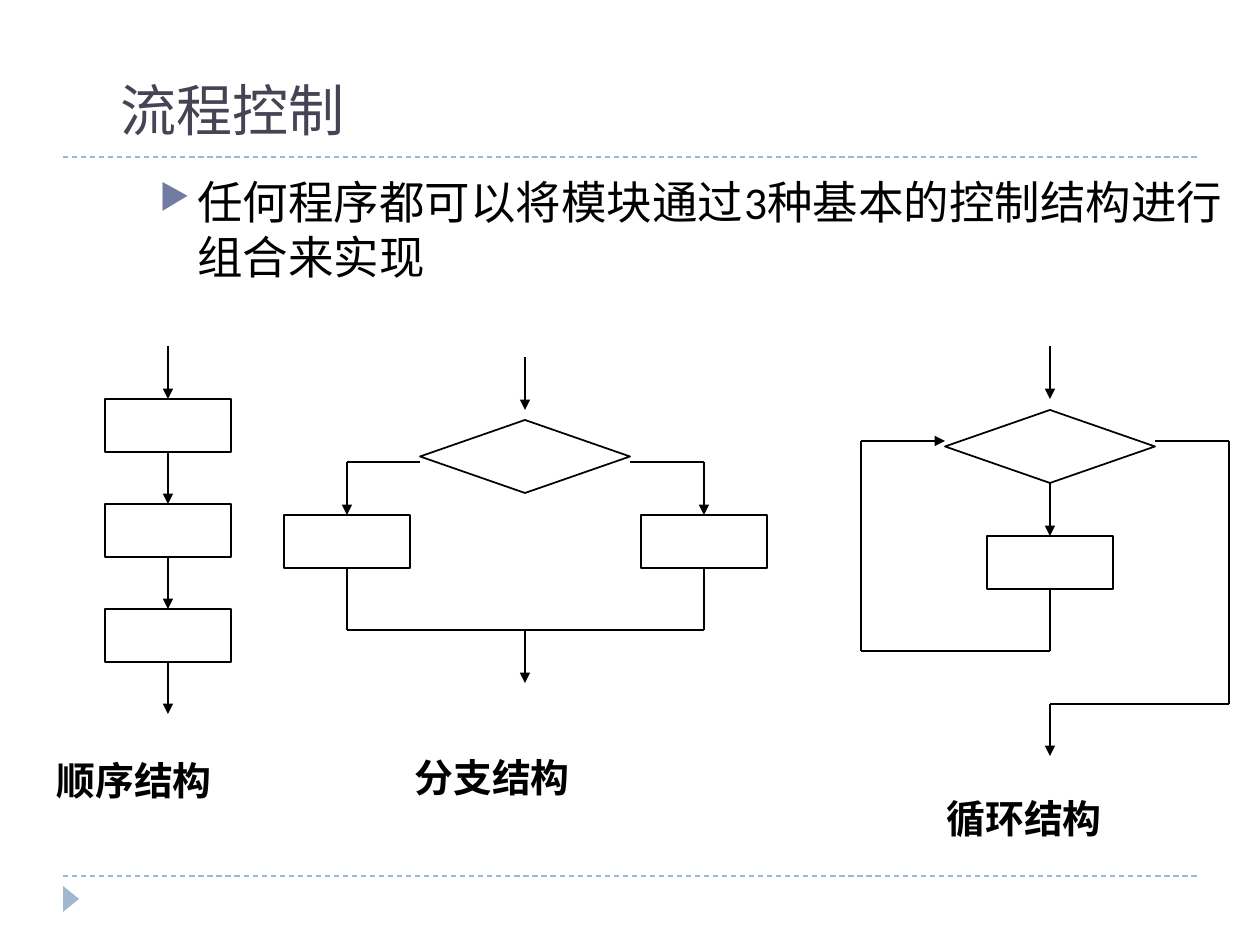
from itertools import pairwise

from lxml.etree import SubElement
from pptx import Presentation
from pptx.dml.color import RGBColor
from pptx.enum.dml import MSO_LINE
from pptx.enum.shapes import MSO_CONNECTOR, MSO_SHAPE
from pptx.enum.text import MSO_ANCHOR, MSO_AUTO_SIZE, PP_ALIGN
from pptx.oxml.ns import qn
from pptx.util import Emu, Pt

PX = 914400 // 126
INK, PALE, BULLET = "000000", "9FB8CD", "727CA3"

TITLE = "流程控制"
BODY = "任何程序都可以将模块通过3种基本的控制结构进行组合来实现"
LABELS = [("顺序结构", 44, 760), ("分支结构", 402, 756), ("循环结构", 934, 798)]

RULES = [157, 876]
BOX, GEM = (126, 53), (210, 73)
STEP, ARROW = 105, 53

BOXES = [(105, 399 + STEP * i) for i in range(3)]
BOXES += [(284, 515), (641, 515), (987, 536)]
GEMS = [(420, 420), (945, 410)]

# Vertical arrows, by their top point
DROPS = [(168, 346 + STEP * i) for i in range(4)]
DROPS += [(525, 357), (525, 630), (1050, 346), (1050, 483)]

# Bent paths: points, and whether the end has an arrowhead
PATHS = [
    ([(420, 462), (347, 462), (347, 515)], True),
    ([(630, 462), (704, 462), (704, 515)], True),
    ([(347, 567), (347, 630), (704, 630), (704, 567)], False),
    ([(1050, 588), (1050, 651), (861, 651), (861, 441), (945, 441)], True),
    ([(1155, 441), (1229, 441), (1229, 704), (1050, 704), (1050, 756)], True),
]


def px(*nums):
    return [Emu(n * PX) for n in nums]


def color(code):
    return RGBColor.from_string(code)


def style(para, size, face, code=INK, bold=False):
    for run in para.runs:
        font = run.font
        font.size, font.name, font.bold = Pt(size), face, bold
        font.color.rgb = color(code)
        SubElement(font._element, qn("a:ea"), typeface=face)


def line(slide, start, end, code=INK, width=1, head=False, dash=False):
    item = slide.shapes.add_connector(MSO_CONNECTOR.STRAIGHT, *px(*start, *end))
    item.line.color.rgb = color(code)
    item.line.width = Pt(width)
    if dash:
        item.line.dash_style = MSO_LINE.DASH
    if head:
        SubElement(item.line._get_or_add_ln(), qn("a:tailEnd"), type="triangle")
    SubElement(item._element.spPr, qn("a:effectLst"))


def shape(slide, kind, spot, size, fill=None):
    item = slide.shapes.add_shape(kind, *px(*spot, *size))
    item.shadow.inherit = False
    if fill:
        item.fill.solid()
        item.fill.fore_color.rgb = color(fill)
        item.line.fill.background()
    else:
        item.fill.background()
        item.line.color.rgb = color(INK)
        item.line.width = Pt(1)
    return item


def text(slide, words, *spot):
    frame = slide.shapes.add_textbox(*px(*spot)).text_frame
    frame.word_wrap = True
    frame.text = words
    return frame.paragraphs[0]


def bullet(para):
    props = para._p.get_or_add_pPr()
    props.set("marL", str(38 * PX))
    props.set("indent", str(-38 * PX))
    tint = SubElement(props, qn("a:buClr"))
    SubElement(tint, qn("a:srgbClr"), val=BULLET)
    SubElement(props, qn("a:buSzPct"), val="76000")
    SubElement(props, qn("a:buChar"), char="▶")


def main():
    deck = Presentation()
    deck.slide_width, deck.slide_height = px(1260, 945)
    slide = deck.slides.add_slide(deck.slide_layouts[5])

    for y in RULES:
        line(slide, (63, y), (1197, y), PALE, 0.75, dash=True)
    mark = shape(slide, MSO_SHAPE.ISOSCELES_TRIANGLE, (58, 891), (26, 16), PALE)
    mark.rotation = 90

    title = slide.shapes.title
    title.left, title.top, title.width, title.height = px(108, 29, 1152, 120)
    frame = title.text_frame
    frame.text = TITLE
    frame.auto_size = MSO_AUTO_SIZE.NONE
    frame.vertical_anchor = MSO_ANCHOR.BOTTOM
    frame.paragraphs[0].alignment = PP_ALIGN.LEFT
    style(frame.paragraphs[0], 32, "Roboto Slab", "444455")

    body = text(slide, BODY, 147, 168, 1113, 160)
    bullet(body)
    style(body, 26, "Calibri")

    for spot in BOXES:
        shape(slide, MSO_SHAPE.RECTANGLE, spot, BOX)
    for spot in GEMS:
        shape(slide, MSO_SHAPE.DIAMOND, spot, GEM)
    for x, y in DROPS:
        line(slide, (x, y), (x, y + ARROW), head=True)
    for points, head in PATHS:
        for start, end in pairwise(points):
            line(slide, start, end, head=head and end == points[-1])

    for words, x, y in LABELS:
        para = text(slide, words, x, y, 242, 53)
        para.line_spacing = 0.8
        style(para, 22.2, "Noto Sans CJK SC", bold=True)

    deck.save("out.pptx")


if __name__ == "__main__":
    main()
